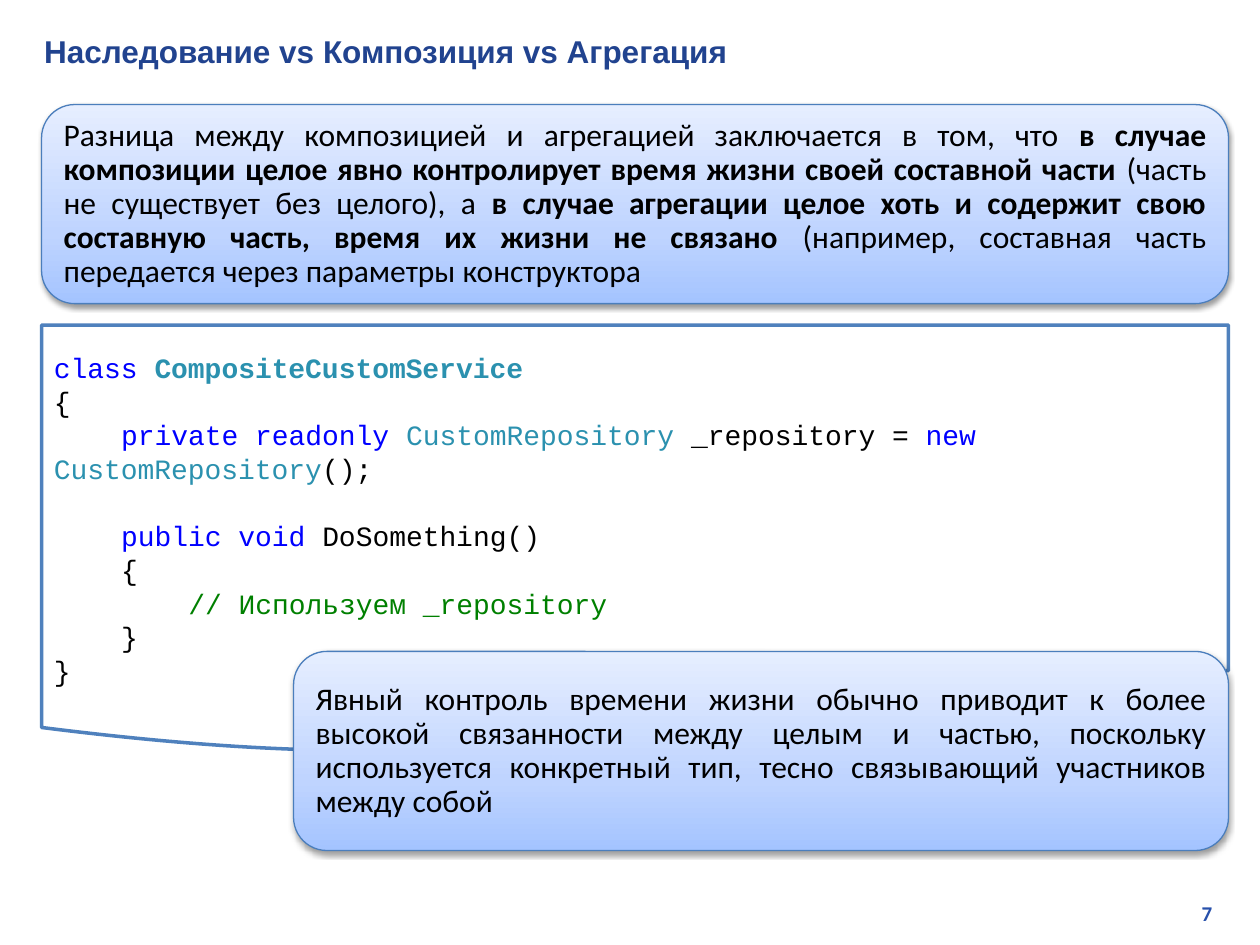
import copy
from dataclasses import dataclass
from typing import Any

import pptx
import pptx.dml.color
import pptx.enum.shapes
import pptx.enum.text
import pptx.oxml
import pptx.oxml.ns
import pptx.util
from pptx.util import Inches

Shape = pptx.enum.shapes.MSO_SHAPE
Align = pptx.enum.text.PP_ALIGN
Anchor = pptx.enum.text.MSO_ANCHOR


@dataclass(frozen=True)
class Theme:
    title: str = "21438F"
    number: str = "2750AB"
    text: str = "000000"
    keyword: str = "0000FF"
    type_name: str = "2B91AF"
    comment: str = "008000"
    panel: str = "FFFFFF"
    panel_line: str = "4F81BD"
    card_line: str = "4B7EBC"
    card_stops: tuple = ((0, "A4C4FF"), (0.35, "BFD4FF"), (1, "E6EEFF"))
    heading_font: str = "Arial"
    body_font: str = "Calibri"
    code_font: str = "Courier New"
    body_size: int = 18
    code_size: int = 16
    number_size: int = 12
    code_leading: float = 19.25


THEME = Theme()


@dataclass(frozen=True)
class Area:
    left: float
    top: float
    width: float
    height: float

    def lengths(self) -> list:
        return [Inches(n) for n in (self.left, self.top, self.width, self.height)]


@dataclass(frozen=True)
class Span:
    text: str
    color: str = THEME.text
    bold: bool = False


@dataclass(frozen=True)
class CodeLine:
    spans: tuple
    depth: int = 0
    gap_before: bool = False


@dataclass(frozen=True)
class Card:
    area: Area
    outline: Any
    spans: tuple


CARDS = (
    Card(Area(0.33, 0.83, 9.42, 1.58), Shape.ROUNDED_RECTANGLE, (
        Span("Разница между композицией и агрегацией заключается в том, что "),
        Span("в случае композиции целое явно контролирует время жизни своей составной части", bold=True),
        Span(" (часть не существует без целого), а "),
        Span("в случае агрегации целое хоть и содержит свою составную часть, время их жизни не связано ", bold=True),
        Span("(например, составная часть передается через параметры конструктора"),
    )),
    Card(Area(2.33, 5.17, 7.42, 1.58), Shape.FLOWCHART_ALTERNATE_PROCESS, (
        Span("Явный контроль времени жизни обычно приводит к более высокой связанности "
             "между целым и частью, поскольку используется конкретный тип, "
             "тесно связывающий участников между собой"),
    )),
)

CODE = (
    CodeLine((Span("class ", THEME.keyword), Span("CompositeCustomService", THEME.type_name, True))),
    CodeLine((Span("{"),)),
    CodeLine((
        Span("private readonly ", THEME.keyword), Span("CustomRepository", THEME.type_name),
        Span(" _repository = "), Span("new ", THEME.keyword),
        Span("CustomRepository", THEME.type_name), Span("();"),
    ), 1),
    CodeLine((Span("public void ", THEME.keyword), Span("DoSomething()")), 1, True),
    CodeLine((Span("{"),), 1),
    CodeLine((Span("// Используем _repository", THEME.comment),), 2),
    CodeLine((Span("}"),), 1),
    CodeLine((Span("}"),)),
)


def rgb(value: str) -> pptx.dml.color.RGBColor:
    return pptx.dml.color.RGBColor.from_string(value)


def apply(target: Any, values: dict) -> None:
    for name, value in values.items():
        setattr(target, name, value)


def write_spans(para: Any, spans: tuple, font: str, size: float) -> None:
    for item in spans:
        span = para.add_run()
        span.text = item.text
        apply(span.font, {"name": font, "size": pptx.util.Pt(size), "bold": item.bold})
        span.font.color.rgb = rgb(item.color)


def add_outline(page: Any, outline: Any, area: Area, color: str, width: float) -> Any:
    box = page.shapes.add_shape(outline, *area.lengths())
    box.shadow.inherit = False
    box.line.color.rgb = rgb(color)
    box.line.width = pptx.util.Pt(width)
    box.text_frame.word_wrap = True
    return box


def fill_gradient(box: Any) -> None:
    box.fill.gradient()
    box.fill.gradient_angle = 90
    stops = box._element.spPr.find(".//" + pptx.oxml.ns.qn("a:gsLst"))
    stops.append(copy.deepcopy(stops[-1]))
    for stop, (position, color) in zip(box.fill.gradient_stops, THEME.card_stops):
        stop.position = position
        stop.color.rgb = rgb(color)


def add_shadow(box: Any) -> None:
    effects = box._element.spPr.find(pptx.oxml.ns.qn("a:effectLst"))
    effects.append(pptx.oxml.parse_xml(
        f'<a:outerShdw {pptx.oxml.ns.nsdecls("a")} blurRad="{pptx.util.Pt(3.1)}" '
        f'dist="{pptx.util.Pt(1.6)}" dir="5400000" rotWithShape="0">'
        '<a:srgbClr val="000000"><a:alpha val="38000"/></a:srgbClr></a:outerShdw>'
    ))


def add_card(page: Any, card: Card) -> None:
    box = add_outline(page, card.outline, card.area, THEME.card_line, 0.75)
    fill_gradient(box)
    add_shadow(box)
    box.text_frame.vertical_anchor = Anchor.MIDDLE
    para = box.text_frame.paragraphs[0]
    apply(para, {"alignment": Align.JUSTIFY, "line_spacing": 0.9})
    write_spans(para, card.spans, THEME.body_font, THEME.body_size)


def add_code(page: Any, area: Area, lines: tuple) -> None:
    box = add_outline(page, Shape.FLOWCHART_DOCUMENT, area, THEME.panel_line, 2)
    box.fill.solid()
    box.fill.fore_color.rgb = rgb(THEME.panel)
    frame = box.text_frame
    apply(frame, {"vertical_anchor": Anchor.TOP, "margin_top": Inches(0.2)})
    leading = pptx.util.Pt(THEME.code_leading)
    indent = pptx.util.Pt(4 * 0.6 * THEME.code_size)
    for index, line in enumerate(lines):
        para = frame.add_paragraph() if index else frame.paragraphs[0]
        apply(para, {
            "alignment": Align.LEFT,
            "line_spacing": leading,
            "space_before": leading if line.gap_before else pptx.util.Pt(0),
        })
        apply_indent = para._p.get_or_add_pPr().set
        apply_indent("marL", "0")
        apply_indent("indent", str(line.depth * indent))
        write_spans(para, line.spans, THEME.code_font, THEME.code_size)


def add_title(page: Any, area: Area, text: str) -> None:
    box = page.shapes.title
    apply(box, dict(zip(("left", "top", "width", "height"), area.lengths())))
    apply(box.text_frame, {"vertical_anchor": Anchor.MIDDLE, "word_wrap": True})
    para = box.text_frame.paragraphs[0]
    para.alignment = Align.LEFT
    write_spans(para, (Span(text, THEME.title, True),), THEME.heading_font, THEME.body_size)


def add_number(page: Any, area: Area, text: str) -> None:
    box = page.shapes.add_textbox(*area.lengths())
    box.text_frame.word_wrap = True
    para = box.text_frame.paragraphs[0]
    para.alignment = Align.RIGHT
    write_spans(para, (Span(text, THEME.number, True),), THEME.body_font, THEME.number_size)


def main() -> None:
    deck = pptx.Presentation()
    apply(deck, {"slide_width": Inches(10), "slide_height": Inches(7.5)})
    page = deck.slides.add_slide(deck.slide_layouts[5])
    add_number(page, Area(7.6, 7.1, 2.12, 0.3), "7")
    add_title(page, Area(0.25, 0.2, 9.54, 0.4), "Наследование vs Композиция vs Агрегация")
    add_code(page, Area(0.33, 2.58, 9.42, 3.42), CODE)
    for card in CARDS:
        add_card(page, card)
    deck.save("out.pptx")


if __name__ == "__main__":
    main()
